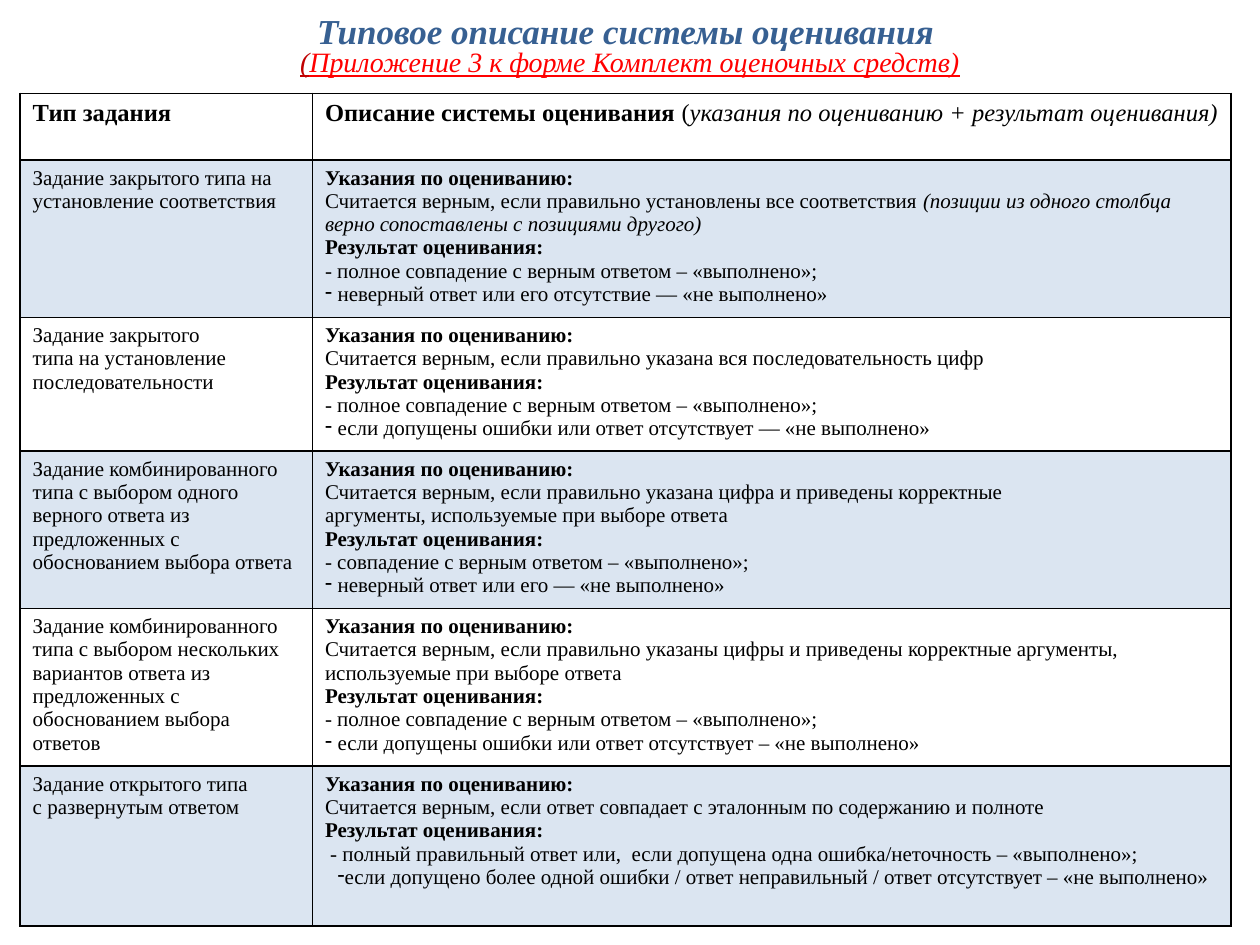
from pptx import Presentation
from pptx.dml.color import RGBColor
from pptx.enum.text import MSO_ANCHOR, PP_ALIGN
from pptx.oxml.ns import qn
from pptx.oxml.xmlchemy import OxmlElement
from pptx.util import Inches, Pt

CENTER, JUSTIFY = PP_ALIGN.CENTER, PP_ALIGN.JUSTIFY
MIDDLE = MSO_ANCHOR.MIDDLE
FONT = "Times New Roman"
BLACK, BLUE, RED, DARK_RED, BAND = "000000", "376092", "FF0000", "C00000", "4F81BD"

COLUMN_WIDTHS = [2.32, 7.29]
ROW_HEIGHTS = [0.53, 1.25, 1.06, 1.25, 1.25, 1.27]
HANGING = (0.1, -0.1)
FIRST_LINE = (0, 0.1)
FULL_MATCH = "- полное совпадение с верным ответом – «выполнено»;"

# Task type lines, guidance lines, guidance note, passed, failed, failed indents
TASKS = [
    (["Задание закрытого типа на установление соответствия"],
     ["Считается верным, если правильно установлены все соответствия "],
     "(позиции из одного столбца верно сопоставлены с позициями другого)",
     FULL_MATCH,
     "неверный ответ или его отсутствие — «не выполнено»", HANGING),
    (["Задание закрытого", "типа на установление", "последовательности"],
     ["Считается верным, если правильно указана вся последовательность цифр"],
     "", FULL_MATCH,
     "если допущены ошибки или ответ отсутствует — «не выполнено»", HANGING),
    (["Задание комбинированного",
      "типа с выбором одного верного ответа из предложенных с обоснованием выбора ответа"],
     ["Считается верным, если правильно указана цифра и приведены корректные",
      "аргументы, используемые при выборе ответа"],
     "", "- совпадение с верным ответом – «выполнено»;",
     "неверный ответ или его — «не выполнено»", HANGING),
    (["Задание комбинированного",
      "типа с выбором нескольких вариантов ответа из предложенных с обоснованием выбора ответов"],
     ["Считается верным, если правильно указаны цифры и приведены корректные аргументы,",
      "используемые при выборе ответа"],
     "", FULL_MATCH,
     "если допущены ошибки или ответ отсутствует – «не выполнено»", HANGING),
    (["Задание открытого типа", "с развернутым ответом"],
     ["Считается верным, если ответ совпадает с эталонным по содержанию и полноте"],
     "", " - полный правильный ответ или,  если допущена одна ошибка/неточность – «выполнено»;",
     "если допущено более одной ошибки / ответ неправильный / ответ отсутствует – «не выполнено»",
     FIRST_LINE),
]


def rgb(color):
    return RGBColor.from_string(color)


def add_run(paragraph, text, size=12, color=BLACK, bold=False, italic=False, underline=False):
    run = paragraph.add_run()
    run.text = text
    font = run.font
    font.name, font.size = FONT, Pt(size)
    font.bold, font.italic, font.underline = bold, italic, underline
    font.color.rgb = rgb(color)


def next_paragraph(frame):
    """Return the unused first paragraph, or a new one."""
    first = frame.paragraphs[0]
    return frame.add_paragraph() if first.runs else first


def add_line(frame, text, **run_format):
    paragraph = next_paragraph(frame)
    add_run(paragraph, text, **run_format)
    return paragraph


def set_dash_bullet(paragraph, left, indent):
    properties = paragraph._p.get_or_add_pPr()
    properties.set("marL", str(Inches(left)))
    properties.set("indent", str(Inches(indent)))
    bullet = OxmlElement("a:buChar")
    bullet.set("char", "-")
    properties.append(bullet)


def add_solid_fill(parent, color):
    fill = OxmlElement("a:solidFill")
    value = OxmlElement("a:srgbClr")
    value.set("val", color)
    fill.append(value)
    parent.append(fill)
    return value


def style_cell(cell, banded):
    """Give the cell black borders and, in a band, a 20 % tint."""
    properties = cell._tc.get_or_add_tcPr()
    for side in ("a:lnL", "a:lnR", "a:lnT", "a:lnB"):
        border = OxmlElement(side)
        border.set("w", str(Pt(1)))
        add_solid_fill(border, BLACK)
        properties.append(border)
    if banded:
        cell.fill.solid()
        cell.fill.fore_color.rgb = rgb(BAND)
        alpha = OxmlElement("a:alpha")
        alpha.set("val", "20000")
        properties.find(qn("a:solidFill")).find(qn("a:srgbClr")).append(alpha)
    else:
        cell.fill.background()


def fill_header(type_frame, description_frame):
    add_line(type_frame, "Тип задания", size=14, bold=True)
    heading = add_line(description_frame, "Описание системы оценивания ", size=14, bold=True)
    heading.alignment = JUSTIFY
    add_run(heading, "(", size=14)
    add_run(heading, "указания по оцениванию + результат оценивания) ", size=14, italic=True)


def fill_task(type_frame, description_frame, task):
    type_lines, guidance, note, passed, failed, indents = task
    for line in type_lines:
        add_line(type_frame, line)
    add_line(description_frame, "Указания по оцениванию:", bold=True)
    for line in guidance:
        last_guidance = add_line(description_frame, line)
    if note:
        add_run(last_guidance, note, italic=True)
    add_line(description_frame, "Результат оценивания:", bold=True)
    add_line(description_frame, passed)
    set_dash_bullet(add_line(description_frame, failed), *indents)


def add_grading_table(slide):
    table = slide.shapes.add_table(
        len(ROW_HEIGHTS), len(COLUMN_WIDTHS), Inches(0.16), Inches(0.74),
        Inches(sum(COLUMN_WIDTHS)), Inches(sum(ROW_HEIGHTS))).table
    table.first_row = table.horz_banding = False
    for column, width in zip(table.columns, COLUMN_WIDTHS):
        column.width = Inches(width)
    for index, (row, height) in enumerate(zip(table.rows, ROW_HEIGHTS)):
        row.height = Inches(height)
        for cell in row.cells:
            style_cell(cell, banded=index % 2 == 1)
        frames = [cell.text_frame for cell in row.cells]
        if index == 0:
            fill_header(*frames)
        else:
            fill_task(*frames, TASKS[index - 1])


def add_title(slide):
    frame = slide.shapes.add_textbox(
        Inches(0), Inches(0.08), Inches(10), Inches(0.52)).text_frame
    frame.word_wrap = True
    frame.vertical_anchor = MIDDLE
    frame.margin_top, frame.margin_bottom = Inches(0.08), 0
    add_line(frame, "Типовое описание системы оценивания ",
             size=20, color=BLUE, bold=True, italic=True)
    appendix = add_line(frame, "(", size=16, color=DARK_RED, italic=True, underline=True)
    add_run(appendix, "Приложение 3 к форме Комплект оценочных средств)",
            size=16, color=RED, italic=True, underline=True)
    for paragraph in frame.paragraphs:
        paragraph.alignment = CENTER
        paragraph.line_spacing = 0.8


def main():
    presentation = Presentation()
    presentation.slide_width, presentation.slide_height = Inches(10), Inches(7.5)
    slide = presentation.slides.add_slide(presentation.slide_layouts[6])
    add_grading_table(slide)
    add_title(slide)
    presentation.save("out.pptx")


if __name__ == "__main__":
    main()
